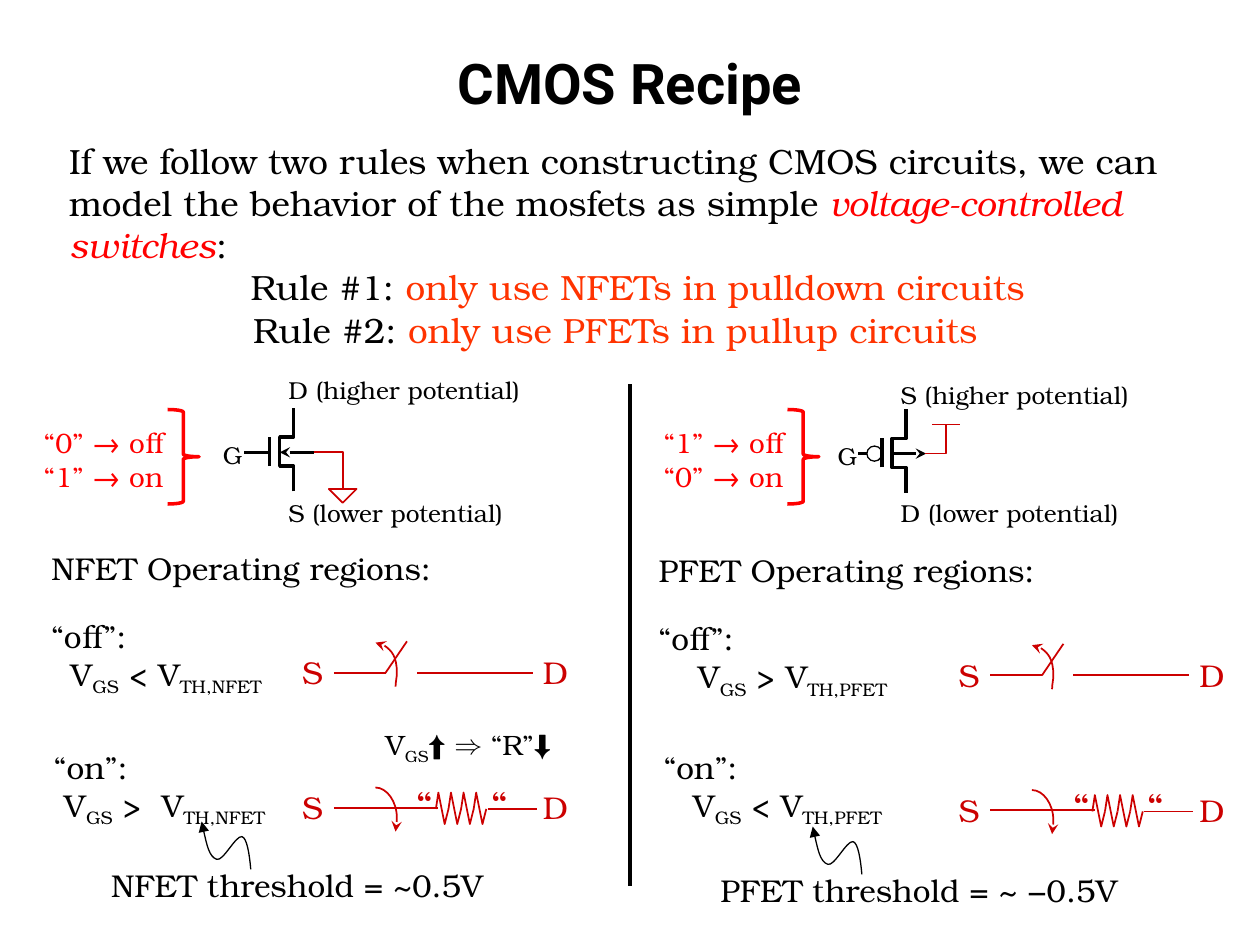
"""Build the CMOS recipe slide with NFET and PFET switch models."""
import dataclasses

import lxml.etree
import pptx
import pptx.dml.color
import pptx.enum.shapes
import pptx.enum.text
import pptx.oxml.ns
import pptx.util

Inches = pptx.util.Inches
Shape = pptx.enum.shapes.MSO_SHAPE
Align = pptx.enum.text.PP_ALIGN
qn = pptx.oxml.ns.qn


@dataclasses.dataclass(frozen=True)
class Theme:
    """Hold the fonts, colours and type sizes."""
    heading_font: str = "Roboto"
    font: str = "TeX Gyre Bonum"
    black: str = "000000"
    white: str = "FFFFFF"
    red: str = "FF0000"
    orange: str = "FF3300"
    circuit: str = "CC0000"
    title: int = 32
    quote: int = 24
    body: int = 20
    region: int = 18
    logic: int = 16
    label: int = 14


THEME = Theme()


@dataclasses.dataclass
class Span:
    """Describe one run of text."""
    text: str
    color: str = THEME.black
    italic: bool = False
    sub: bool = False
    spacing: int = 0


@dataclasses.dataclass
class Para:
    """Describe one paragraph."""
    spans: list
    indent: float = 0
    before: float = 0


def rgb(color):
    """Return a colour object for a hex value."""
    return pptx.dml.color.RGBColor.from_string(color)


def add_text(page, frame, paras, size, font=THEME.font, bold=False, align=Align.LEFT,
             leading=None, wrap=False, middle=False):
    """Add a text box made of paragraphs and runs."""
    box = page.shapes.add_textbox(*map(Inches, frame))
    body = box.text_frame
    body.word_wrap = wrap
    body.auto_size = (pptx.enum.text.MSO_AUTO_SIZE.NONE if wrap
                      else pptx.enum.text.MSO_AUTO_SIZE.SHAPE_TO_FIT_TEXT)
    if middle:
        body.vertical_anchor = pptx.enum.text.MSO_ANCHOR.MIDDLE
    for index, item in enumerate(paras):
        para = body.paragraphs[0] if index == 0 else body.add_paragraph()
        para.alignment = align
        if leading:
            para.line_spacing = leading
        if item.before:
            para.space_before = pptx.util.Pt(item.before)
        if item.indent:
            properties = para._p.get_or_add_pPr()
            properties.set("marL", str(Inches(item.indent)))
            properties.set("indent", "0")
        for part in item.spans:
            span = para.add_run()
            span.text = part.text
            span.font.name, span.font.size = font, pptx.util.Pt(size)
            span.font.bold, span.font.italic = bold, part.italic
            span.font.color.rgb = rgb(part.color)
            if part.sub:
                span.font._element.set("baseline", "-25000")
            if part.spacing:
                span.font._element.set("spc", str(part.spacing))


def add_label(page, x, y, width, text, size=THEME.label, color=THEME.black):
    """Add a one-line label."""
    add_text(page, (x, y, width, size * 0.018 + 0.06), [Para([Span(text, color)])],
             size, leading=0.9)


def style_line(shape, color, width, head=None, tail=None):
    """Set the stroke and arrowheads of a shape."""
    shape.line.color.rgb = rgb(color)
    shape.line.width = pptx.util.Pt(width)
    stroke = shape.element.spPr.find(qn("a:ln"))
    for tag, kind in (("a:headEnd", head), ("a:tailEnd", tail)):
        if kind:
            lxml.etree.SubElement(stroke, qn(tag), type=kind)


def add_line(page, start, end, color=THEME.circuit, width=1, **arrows):
    """Add a straight line."""
    line = page.shapes.add_connector(pptx.enum.shapes.MSO_CONNECTOR.STRAIGHT,
                                     *map(Inches, start + end))
    style_line(line, color, width, **arrows)
    lxml.etree.SubElement(line.element.spPr, qn("a:effectLst"))


def add_outline(page, x, y, points, color=THEME.circuit, width=1, curved=False, **arrows):
    """Add an open outline from offsets, optionally as cubic curves."""
    places = [(Inches(x + dx), Inches(y + dy)) for dx, dy in points]
    builder = page.shapes.build_freeform(*places[0])
    builder.add_line_segments(places[1:], close=False)
    shape = builder.convert_to_shape()
    shape.shadow.inherit = False
    shape.fill.background()
    style_line(shape, color, width, **arrows)
    if curved:
        steps = list(shape.element.iter(qn("a:lnTo")))
        for first, second, third in zip(steps[::3], steps[1::3], steps[2::3]):
            first.tag = qn("a:cubicBezTo")
            for step in (second, third):
                first.append(step[0])
                step.getparent().remove(step)


def add_preset(page, kind, frame, color, width, fill=None):
    """Add a preset shape."""
    shape = page.shapes.add_shape(kind, *map(Inches, frame))
    shape.shadow.inherit = False
    if fill:
        shape.fill.solid()
        shape.fill.fore_color.rgb = rgb(fill)
    else:
        shape.fill.background()
    style_line(shape, color, width)
    return shape


def add_mosfet(page, x, y, lead, **arrows):
    """Add the channel, gate and body lines of a transistor."""
    ink = {"color": THEME.black, "width": 2}
    add_outline(page, x, y, [(0.11, 0.66), (0.11, 0.46), (0, 0.46),
                             (0, 0.23), (0.11, 0.23), (0.11, 0)], **ink)
    add_line(page, (x - 0.08, y + 0.46), (x - 0.08, y + 0.23), **ink)
    add_line(page, (x - lead[0], y + 0.35), (x - lead[1], y + 0.35), **ink)
    add_line(page, (x, y + 0.35), (x + 0.27, y + 0.35), **ink, **arrows)


def add_swing(page, x, y, **arrows):
    """Add the arc that shows a switch moving."""
    add_outline(page, x, y, [(0, 0), (0.09, 0), (0.17, 0.11), (0.17, 0.24),
                             (0.17, 0.28), (0.16, 0.31), (0.16, 0.35)], curved=True, **arrows)


def add_terminals(page, x, y):
    """Add the S and D ends of a switch."""
    for name, shift, width in (("S", -0.35, 0.37), ("D", 1.56, 0.4)):
        add_label(page, x + shift, y - 0.17, width, name, THEME.region, THEME.circuit)


def add_open_switch(page, x, y):
    """Add a switch in its off state."""
    for start, end, rise in ((0, 0.41, 0), (0.41, 0.58, 0.25), (0.66, 1.58, 0)):
        add_line(page, (x + start, y), (x + end, y - rise))
    add_terminals(page, x, y)
    add_swing(page, x + 0.33, y - 0.24, head="stealth")


def add_closed_switch(page, x, y):
    """Add a switch in its on state with a resistor."""
    add_line(page, (x, y), (x + 0.83, y))
    add_terminals(page, x, y)
    add_swing(page, x + 0.33, y - 0.16, tail="stealth")
    for index in range(4):
        add_outline(page, x + 0.81 + index * 0.1, y + 0.01,
                    [(0, 0), (0.02, -0.13), (0.07, 0.12), (0.1, 0)])
    add_line(page, (x + 1.22, y + 0.01), (x + 1.61, y + 0.01))
    for shift in (0.56, 1.15):
        add_label(page, x + shift, y - 0.23, 0.37, "“", THEME.quote, THEME.circuit)


def condition(sign, kind, indent, spacing=0):
    """Return the paragraph that compares gate and threshold voltage."""
    return Para([Span("V"), Span("GS", sub=True), Span(f" {sign}"),
                 Span(" ", spacing=spacing), Span("V"), Span(f"TH,{kind}", sub=True)], indent)


def add_logic(page, x, off, on):
    """Add the gate levels with their brace."""
    add_preset(page, Shape.RIGHT_BRACE, (x + 1.08, 3.25, 0.25, 0.75), THEME.red, 2)
    levels = (f"“{off}” → off", f"“{on}” → on")
    add_text(page, (x, 3.33, 1.17, 0.64),
             [Para([Span(level, THEME.red)]) for level in levels], THEME.logic)


def add_regions(page, kind, off, on, off_place, on_place, threshold, pointer, switch):
    """Add the operating regions of one transistor kind."""
    add_text(page, (*off_place, 3.6, 1.38),
             [Para([Span(f"{kind} Operating regions:")]), Para([Span("“off”:")], before=19.4),
              condition(*off)], THEME.region, leading=0.9, wrap=True)
    add_text(page, (*on_place, 2.3, 0.83),
             [Para([Span("“on”:")], 0.08 if kind == "NFET" else 0), condition(*on)],
             THEME.region, leading=0.9, wrap=True)
    text, frame = threshold
    add_text(page, frame, [Para([Span(f"{kind} threshold = {text}")])], THEME.region,
             align=Align.CENTER, middle=True)
    add_outline(page, *pointer, [(0.39, 0.38), (0.38, 0.26), (0.36, 0.13), (0.32, 0.12),
                                 (0.27, 0.11), (0.17, 0.32), (0.12, 0.3), (0.06, 0.28),
                                 (0.03, 0.14), (0, 0)],
                THEME.black, 0.75, curved=True, tail="triangle")
    x, y = switch
    add_open_switch(page, x, y)
    add_closed_switch(page, x, y + 1.07)


def add_intro(page):
    """Add the title, the introduction and the two rules."""
    add_text(page, (0.5, 0.3, 9, 0.7), [Para([Span("CMOS Recipe")])], THEME.title,
             THEME.heading_font, True, Align.CENTER, wrap=True, middle=True)
    opening = Para([Span("If we follow two rules when constructing CMOS circuits, we can model "
                         "the behavior of the mosfets as simple "),
                    Span("voltage-controlled switches", THEME.red, True), Span(":")])
    rules = [Para([Span(f"Rule #{number}: "),
                   Span(f"only use {kind}s in {network} circuits", THEME.orange)], 1.44)
             for number, kind, network in ((1, "NFET", "pulldown"), (2, "PFET", "pullup"))]
    add_text(page, (0.45, 1.06, 9.2, 1.45), [opening, rules[0]], THEME.body, wrap=True)
    add_text(page, (0.47, 2.4, 9.2, 0.44), [rules[1]], THEME.body, wrap=True)
    add_line(page, (5, 3.05), (5, 7.03), THEME.black, 2.25)


def add_nfet(page):
    """Add the NFET symbol with its ground and labels."""
    add_mosfet(page, 2.22, 3.24, (0.08, 0.28), head="stealth")
    add_label(page, 2.19, 2.95, 2.06, "D (higher potential)")
    add_label(page, 1.67, 3.47, 0.36, "G")
    add_label(page, 2.19, 3.93, 1.93, "S (lower potential)")
    add_outline(page, 2.49, 3.59, [(0, 0), (0.23, 0), (0.23, 0.29)])
    ground = add_preset(page, Shape.ISOSCELES_TRIANGLE, (2.61, 3.88, 0.22, 0.11),
                        THEME.circuit, 1, THEME.white)
    ground.rotation = 180
    add_logic(page, 0.25, 0, 1)


def add_pfet(page):
    """Add the PFET symbol with its supply and labels."""
    add_mosfet(page, 7.08, 3.25, (0.2, 0.27), tail="stealth")
    add_label(page, 7.05, 2.99, 2.03, "S (higher potential)")
    add_label(page, 6.55, 3.48, 0.36, "G")
    add_label(page, 7.05, 3.93, 1.96, "D (lower potential)")
    add_outline(page, 7.34, 3.37, [(0, 0.23), (0.17, 0.23), (0.17, 0)])
    add_line(page, (7.4, 3.37), (7.62, 3.37))
    add_preset(page, Shape.OVAL, (6.88, 3.54, 0.12, 0.12), THEME.black, 0.75)
    add_logic(page, 5.17, 1, 0)


def main():
    """Build and save the deck."""
    deck = pptx.Presentation()
    deck.slide_width, deck.slide_height = Inches(10), Inches(7.5)
    page = deck.slides.add_slide(deck.slide_layouts[6])
    add_intro(page)
    add_nfet(page)
    add_pfet(page)
    add_regions(page, "NFET", ("<", "NFET", 0.15), (">", "NFET", 0.16, 560),
                (0.31, 4.34), (0.25, 5.92), ("~0.5V", (0.76, 6.82, 3.2, 0.4)),
                (1.6, 6.52), (2.65, 5.34))
    add_regions(page, "PFET", (">", "PFET", 0.31), ("<", "PFET", 0.23),
                (5.13, 4.36), (5.17, 5.92), ("~ −0.5V", (5.58, 6.86, 3.43, 0.4)),
                (6.45, 6.56), (7.86, 5.36))
    add_text(page, (2.85, 5.74, 1.73, 0.37),
             [Para([Span("V"), Span("GS", sub=True), Span("⬆︎ ⇒ “R”⬇︎")])],
             THEME.logic, align=Align.CENTER, middle=True)
    deck.save("out.pptx")


if __name__ == "__main__":
    main()
